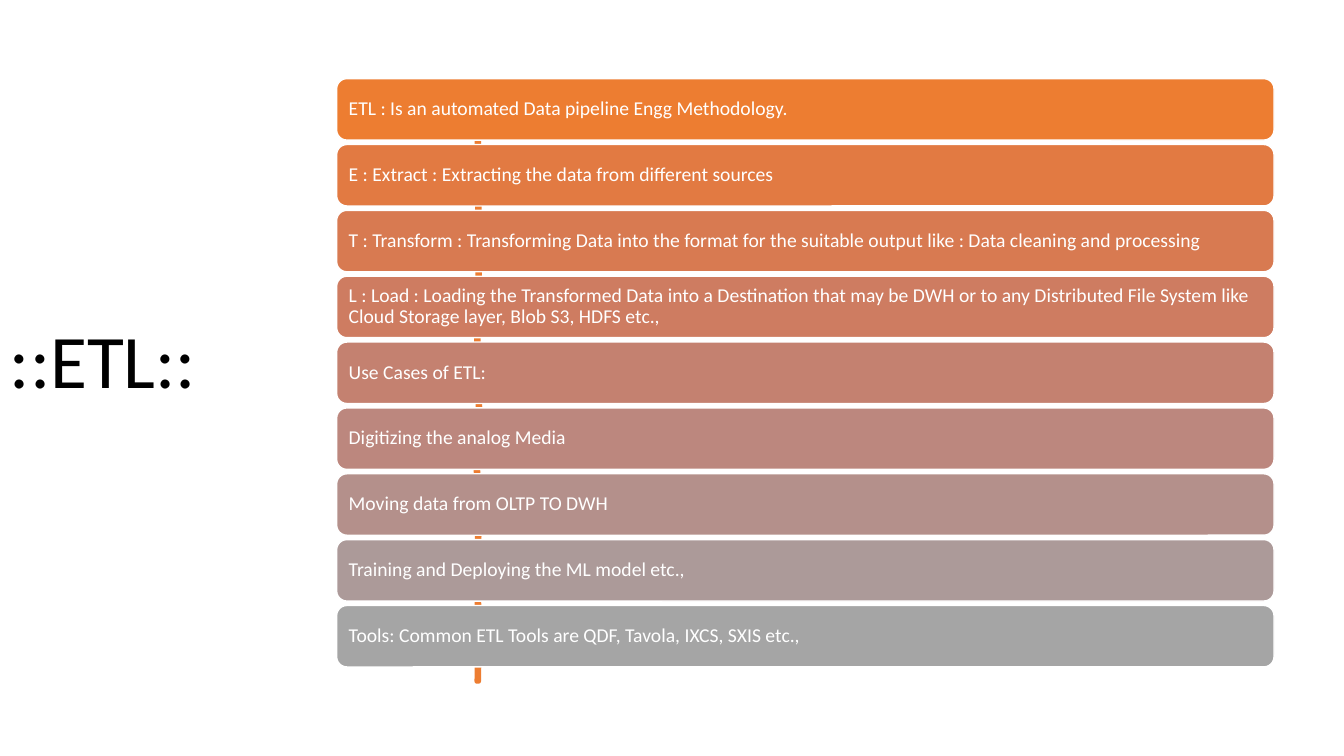
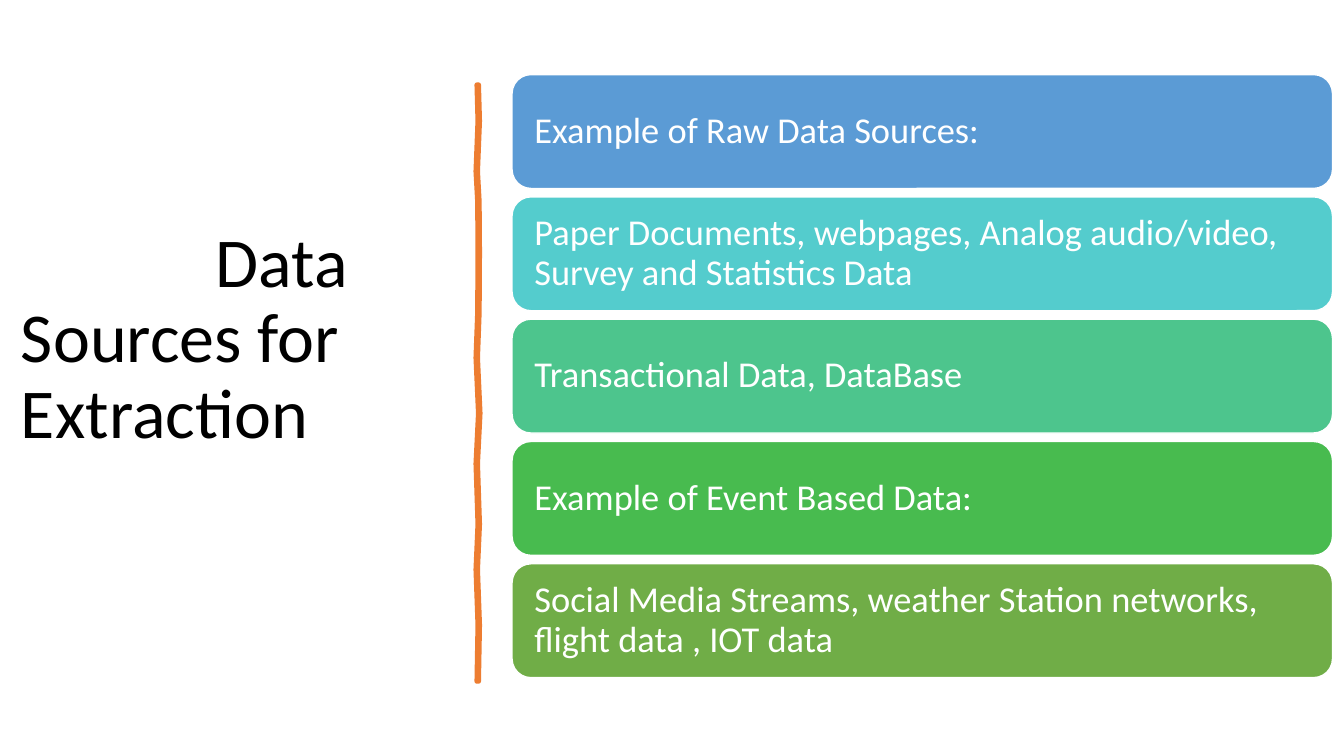
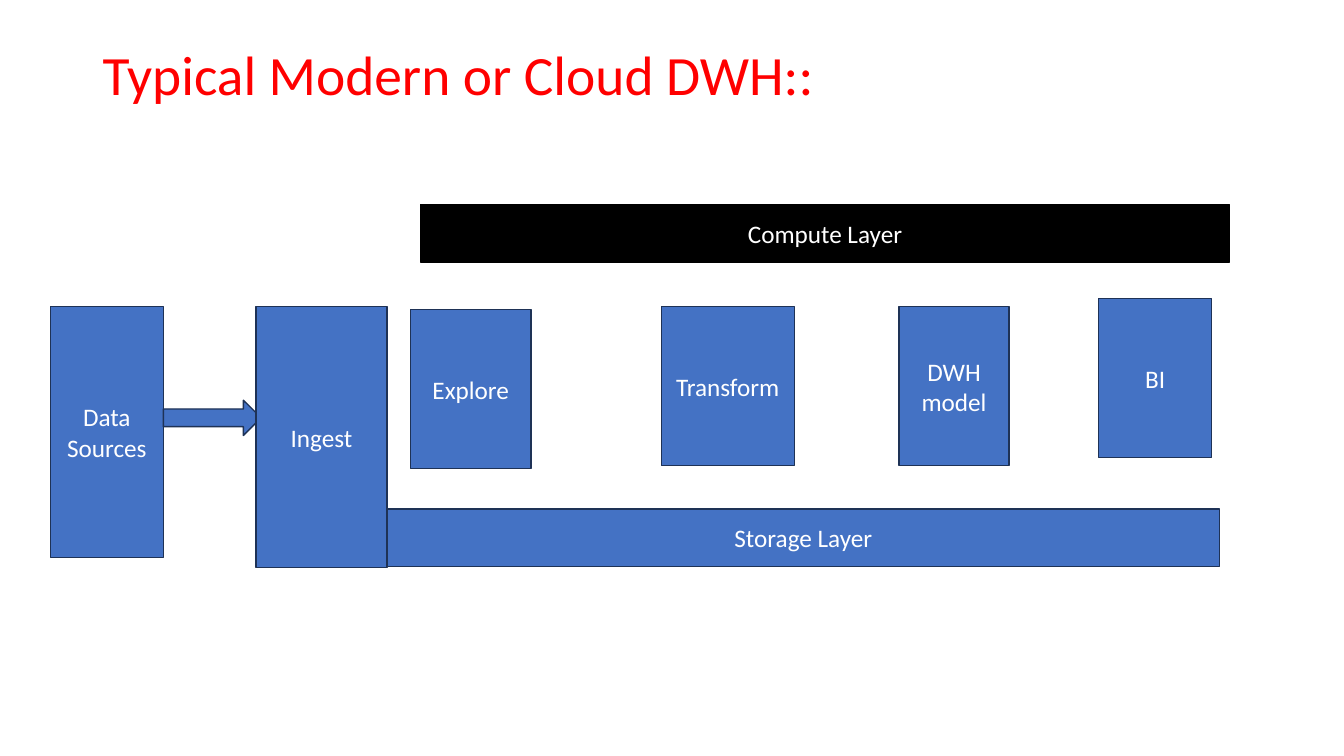
from pptx import Presentation
from pptx.dml.color import RGBColor
from pptx.enum.shapes import MSO_SHAPE
from pptx.enum.text import MSO_ANCHOR, PP_ALIGN
from pptx.util import Inches, Pt


def rgb(value):
    """Turn a hex string into a colour."""
    return RGBColor.from_string(value)


class Deck:
    """Slides laid out on a grid of 80 columns by 45 rows."""

    COLS, ROWS = 80, 45
    FONT = "Calibri"
    WHITE, BLACK, RED = "FFFFFF", "000000", "FF0000"
    ORANGE, BLUE, NAVY = "ED7D31", "4472C4", "1E3256"
    WOBBLE = [(5.04, 0), (7.2, 0.06), (10.2, -0.06), (12, 0.04), (15, 0.06),
              (18.6, 0.04), (21.3, -0.06), (24.6, 0.09), (27.6, -0.06),
              (31.2, 0.06), (33.9, -0.06), (37.2, 0.06), (40.56, 0)]

    def __init__(self):
        """Start an empty widescreen presentation."""
        self.prs = Presentation()
        self.prs.slide_width, self.prs.slide_height = Inches(13.33), Inches(7.5)
        self.s = None

    def slide(self):
        """Add a blank slide and make it current."""
        self.s = self.prs.slides.add_slide(self.prs.slide_layouts[6])

    def x(self, cols):
        """Convert columns to a length."""
        return round(self.prs.slide_width * cols / self.COLS)

    def y(self, rows):
        """Convert rows to a length."""
        return round(self.prs.slide_height * rows / self.ROWS)

    def box(self, at):
        """Convert left, top, width and height from grid cells."""
        left, top, width, height = at
        return self.x(left), self.y(top), self.x(width), self.y(height)

    def label(self, sp, text, size, color, align=PP_ALIGN.LEFT, spacing=None):
        """Put one vertically centred paragraph into a shape."""
        tf = sp.text_frame
        tf.word_wrap = True
        tf.vertical_anchor = MSO_ANCHOR.MIDDLE
        p = tf.paragraphs[0]
        p.text = text
        p.alignment = align
        p.line_spacing = spacing
        p.font.name, p.font.size = self.FONT, Pt(size)
        p.font.color.rgb = rgb(color)
        return p

    def title(self, text, at, size, color=BLACK, drop=0, indent=0):
        """Add a title, lowered by rows or indented by columns if asked."""
        sp = self.s.shapes.add_textbox(*self.box(at))
        p = self.label(sp, text, size, color, spacing=0.9)
        sp.text_frame.margin_top += self.y(drop)
        if indent:
            p._p.get_or_add_pPr().set("indent", str(self.x(indent)))

    def paint(self, sp, fill, line, width=1):
        """Give a shape its fill and outline, without a shadow."""
        sp.shadow.inherit = False
        sp.fill.solid()
        sp.fill.fore_color.rgb = rgb(fill)
        sp.line.color.rgb = rgb(line)
        sp.line.width = Pt(width)

    def shape(self, kind, at, fill, line):
        """Add a painted preset shape."""
        sp = self.s.shapes.add_shape(kind, *self.box(at))
        self.paint(sp, fill, line)
        return sp

    def block(self, text, at, fill=BLUE, line=NAVY):
        """Add a labelled rectangle of the diagram."""
        sp = self.shape(MSO_SHAPE.RECTANGLE, at, fill, line)
        self.label(sp, text, 18, self.WHITE, PP_ALIGN.CENTER)

    def arrow(self, at):
        """Add a block arrow pointing right."""
        self.shape(MSO_SHAPE.RIGHT_ARROW, at, self.BLUE, self.NAVY)

    def divider(self, center=28.44, half=0.06):
        """Draw the hand-drawn vertical rule."""
        right = [(self.x(center + dx + half), self.y(row)) for row, dx in self.WOBBLE]
        left = [(self.x(center + dx - half), self.y(row)) for row, dx in self.WOBBLE]
        fb = self.s.shapes.build_freeform(*right[0])
        fb.add_line_segments(right[1:] + left[::-1], close=True)
        self.paint(fb.convert_to_shape(), self.ORANGE, self.ORANGE, 3.25)

    def cards(self, items, first, pitch, size, inset):
        """Stack rounded cards at an equal pitch from the first one."""
        left, top, width, height = first
        for i, (fill, text) in enumerate(items):
            at = left, top + i * pitch, width, height
            sp = self.shape(MSO_SHAPE.ROUNDED_RECTANGLE, at, fill, self.WHITE)
            tf = sp.text_frame
            tf.margin_left = tf.margin_right = self.x(inset)
            tf.margin_top = tf.margin_bottom = self.y(inset)
            self.label(sp, text, size, self.WHITE, spacing=0.9)


ETL_CARDS = [
    ("ED7D31", "ETL : Is an automated Data pipeline Engg Methodology."),
    ("E27A42", "E : Extract : Extracting the data from different sources"),
    ("D87A51", "T : Transform : Transforming Data into the format for the suitable "
               "output like : Data cleaning and processing"),
    ("CE7C61", "L : Load : Loading the Transformed Data into a Destination that may be "
               "DWH or to any Distributed File System like Cloud Storage layer, "
               "Blob S3, HDFS etc.,"),
    ("C48170", "Use Cases of ETL:"),
    ("BC877E", "Digitizing the analog Media"),
    ("B4908B", "Moving data from OLTP TO DWH"),
    ("AC9A99", "Training and Deploying the ML model etc.,"),
    ("A5A5A5", "Tools: Common ETL Tools are QDF, Tavola, IXCS, SXIS etc.,"),
]
SOURCE_CARDS = [
    ("5B9BD5", "Example of Raw Data Sources:"),
    ("54CCCD", "Paper Documents, webpages, Analog audio/video, Survey and Statistics Data"),
    ("4DC58D", "Transactional Data, DataBase"),
    ("48BB4F", "Example of Event Based Data:"),
    ("70AD47", "Social Media Streams, weather Station networks, flight data , IOT data"),
]
BLOCKS = [
    ("Storage Layer", (23.04, 30.3, 49.56, 3.42)),
    ("Ingest", (15.24, 18.24, 7.8, 15.54)),
    ("Explore", (24.42, 18.42, 7.2, 9.48)),
    ("Transform", (39.36, 18.24, 7.92, 9.48)),
    ("DWH model", (53.52, 18.24, 6.54, 9.48)),
    ("BI", (65.4, 17.76, 6.72, 9.48)),
]


def main():
    """Build and save the three slides."""
    deck = Deck()

    deck.slide()
    deck.title("::ETL::", (0, 4.2, 19.2, 25.26), 54, drop=9.7)
    deck.divider()
    deck.cards(ETL_CARDS, (20.04, 4.68, 55.8, 3.66), 3.92, 14, 0.54)

    deck.slide()
    deck.title("Data Sources for Extraction", (0.66, 11.52, 25.92, 17.46), 50, indent=11.6)
    deck.divider()
    deck.cards(SOURCE_CARDS, (30.48, 4.44, 48.84, 6.78), 7.28, 26, 1)

    deck.slide()
    deck.title("Typical Modern or Cloud DWH::", (5.52, 2.4, 69, 4.44), 39.6, deck.RED)
    deck.block("Data Sources", (3, 18.24, 6.72, 14.94))
    deck.arrow((9.72, 23.82, 5.82, 2.1))
    for text, at in BLOCKS:
        deck.block(text, at)
    deck.block("Compute Layer", (25.02, 12.18, 48.18, 3.42), deck.BLACK, deck.BLACK)

    deck.prs.save("out.pptx")


if __name__ == "__main__":
    main()
